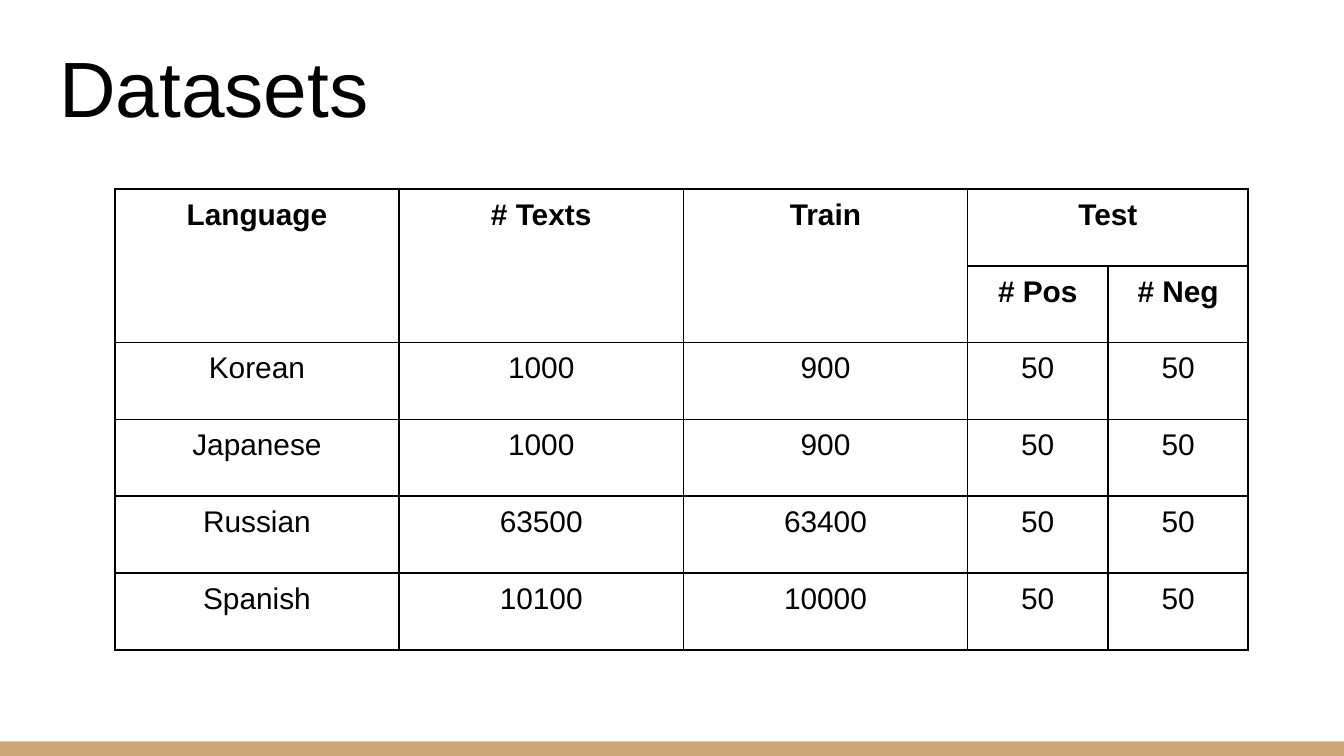
from lxml.etree import fromstring
from pptx import Presentation
from pptx.dml.color import RGBColor
from pptx.enum.shapes import MSO_SHAPE
from pptx.enum.text import MSO_ANCHOR, MSO_AUTO_SIZE, PP_ALIGN
from pptx.oxml.ns import nsdecls
from pptx.util import Pt

TITLE = "Datasets"
HEADERS = [
    ("Language", "# Texts", "Train", "Test", ""),
    ("", "", "", "# Pos", "# Neg"),
]
DATASETS = [
    ("Korean", "1000", "900", "50", "50"),
    ("Japanese", "1000", "900", "50", "50"),
    ("Russian", "63500", "63400", "50", "50"),
    ("Spanish", "10100", "10000", "50", "50"),
]
HEADER_SPANS = [((0, col), (1, col)) for col in range(3)] + [((0, 3), (0, 4))]
COLORS = {"text": "000000", "border": "000000", "footer": "CCA677"}
FONT = "Arial"
SLIDE_WIDTH, SLIDE_HEIGHT = 720, 405
FOOTER_HEIGHT = 7.8
TABLE_LEFT, TABLE_TOP = 61.5, 101.3
COLUMN_WIDTHS = [152.3, 152.3, 152.3, 75.2, 75.2]
ROW_HEIGHT = 41.15
CELL_MARGIN = 5


def set_margins(box, margin):
    box.margin_left = box.margin_right = Pt(margin)
    box.margin_top = box.margin_bottom = Pt(margin)


def set_font(paragraph, size, bold=False):
    paragraph.font.name = FONT
    paragraph.font.size = Pt(size)
    paragraph.font.bold = bold
    paragraph.font.color.rgb = RGBColor.from_string(COLORS["text"])


def add_borders(cell):
    properties = cell._tc.get_or_add_tcPr()
    for position, side in enumerate(("lnL", "lnR", "lnT", "lnB")):
        border = fromstring(
            f'<a:{side} {nsdecls("a")} w="{Pt(1)}"><a:solidFill>'
            f'<a:srgbClr val="{COLORS["border"]}"/></a:solidFill></a:{side}>'
        )
        properties.insert(position, border)


def add_footer(slide):
    footer = slide.shapes.add_shape(
        MSO_SHAPE.RECTANGLE, Pt(0), Pt(SLIDE_HEIGHT - FOOTER_HEIGHT),
        Pt(SLIDE_WIDTH), Pt(FOOTER_HEIGHT))
    footer.shadow.inherit = False
    footer.fill.solid()
    footer.fill.fore_color.rgb = RGBColor.from_string(COLORS["footer"])
    footer.line.fill.background()


def format_title(slide):
    title = slide.shapes.title
    title.left, title.top = Pt(24.5), Pt(13)
    title.width, title.height = Pt(671), Pt(65.5)
    frame = title.text_frame
    frame.text = TITLE
    frame.word_wrap = True
    frame.auto_size = MSO_AUTO_SIZE.NONE
    frame.vertical_anchor = MSO_ANCHOR.BOTTOM
    set_margins(frame, 7.2)
    frame.paragraphs[0].alignment = PP_ALIGN.LEFT
    set_font(frame.paragraphs[0], 42)


def add_dataset_table(slide):
    rows = HEADERS + DATASETS
    table = slide.shapes.add_table(
        len(rows), len(COLUMN_WIDTHS), Pt(TABLE_LEFT), Pt(TABLE_TOP),
        Pt(sum(COLUMN_WIDTHS)), Pt(ROW_HEIGHT * len(rows))).table
    table.first_row = table.horz_banding = False
    for column, width in zip(table.columns, COLUMN_WIDTHS):
        column.width = Pt(width)
    for row_index, values in enumerate(rows):
        table.rows[row_index].height = Pt(ROW_HEIGHT)
        for column_index, value in enumerate(values):
            cell = table.cell(row_index, column_index)
            cell.text = value
            cell.fill.background()
            set_margins(cell, CELL_MARGIN)
            paragraph = cell.text_frame.paragraphs[0]
            paragraph.alignment = PP_ALIGN.CENTER
            set_font(paragraph, 16, bold=row_index < len(HEADERS))
            add_borders(cell)
    for first, last in HEADER_SPANS:
        table.cell(*first).merge(table.cell(*last))


def main():
    presentation = Presentation()
    presentation.slide_width = Pt(SLIDE_WIDTH)
    presentation.slide_height = Pt(SLIDE_HEIGHT)
    slide = presentation.slides.add_slide(presentation.slide_layouts[5])
    add_footer(slide)
    format_title(slide)
    add_dataset_table(slide)
    presentation.save("out.pptx")


if __name__ == "__main__":
    main()
